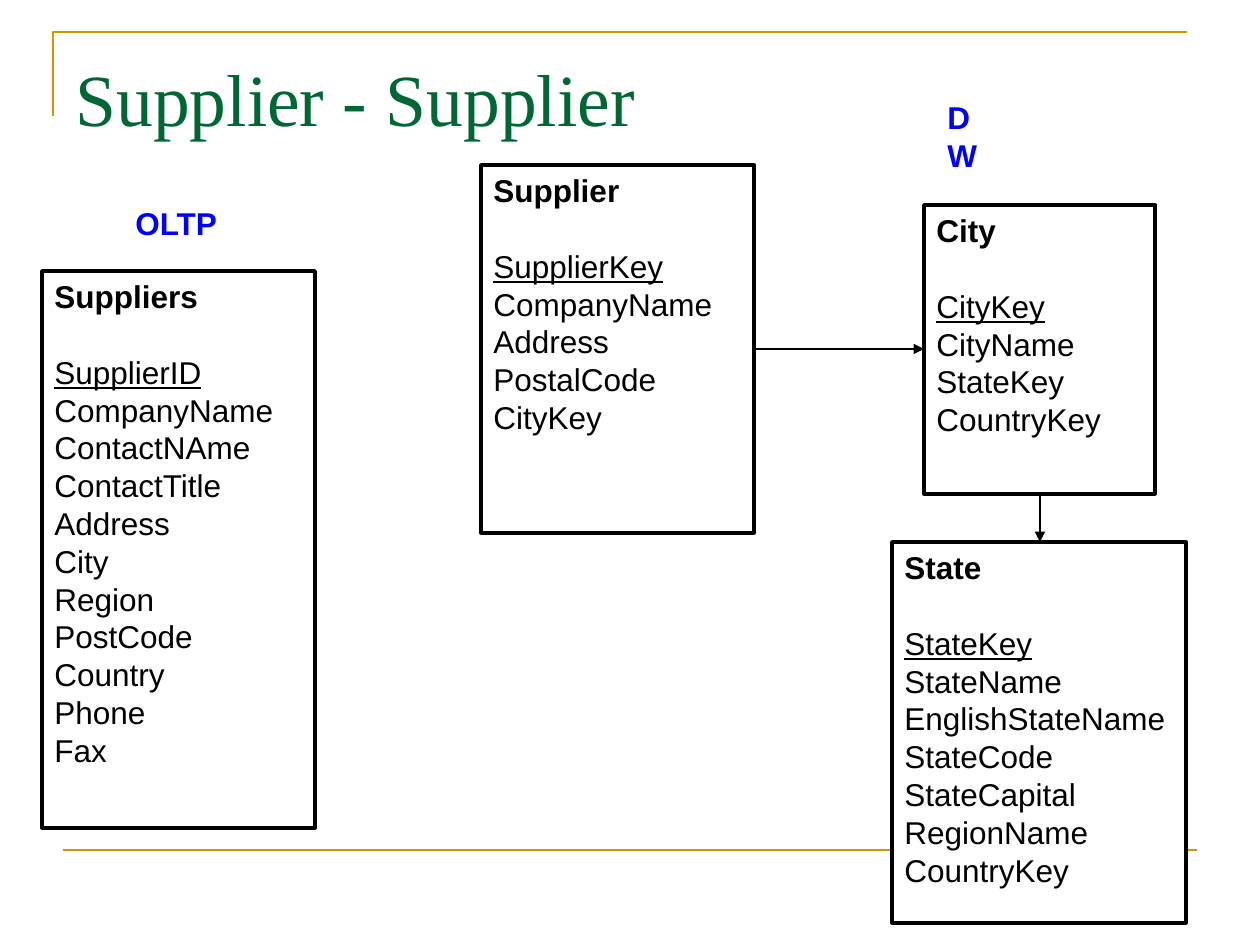
import pptx
import pptx.dml.color
import pptx.enum.shapes
import pptx.enum.text
import pptx.oxml.ns
import pptx.util
from lxml import etree

PX = 914400 // 126
WHITE = pptx.dml.color.RGBColor(0xFF, 0xFF, 0xFF)
BLACK = pptx.dml.color.RGBColor(0, 0, 0)
GOLD = pptx.dml.color.RGBColor(0xCC, 0x99, 0x00)
GREEN = pptx.dml.color.RGBColor(0x00, 0x66, 0x33)
BLUE = pptx.dml.color.RGBColor(0x00, 0x00, 0xFF)
LINE_HEIGHT = pptx.util.Pt(21.6)

# Title, box in px, key, other columns
TABLES = [
    ("Suppliers", (42, 271, 273, 557), "SupplierID",
     ["CompanyName", "ContactNAme", "ContactTitle", "Address", "City",
      "Region", "PostCode", "Country", "Phone", "Fax"]),
    ("Supplier", (481, 165, 273, 368), "SupplierKey",
     ["CompanyName", "Address", "PostalCode", "CityKey"]),
    ("City", (924, 205, 231, 289), "CityKey",
     ["CityName", "StateKey", "CountryKey"]),
    ("State", (892, 542, 294, 381), "StateKey",
     ["StateName", "EnglishStateName", "StateCode", "StateCapital",
      "RegionName", "CountryKey"]),
]


def emu(*lengths):
    return [n * PX for n in lengths]


def style(p, color, bold=False):
    p.alignment = pptx.enum.text.PP_ALIGN.LEFT
    p.line_spacing = LINE_HEIGHT
    p.font.name = "Arial"
    p.font.size = pptx.util.Pt(18)
    p.font.bold = bold
    p.font.color.rgb = color


def add_title(s, text):
    sp = s.shapes.title
    sp.left, sp.top, sp.width, sp.height = emu(63, 38, 1134, 157)
    tf = sp.text_frame
    tf.text = text
    tf.vertical_anchor = pptx.enum.text.MSO_ANCHOR.TOP
    tf.margin_top = 15 * PX
    p = tf.paragraphs[0]
    p.alignment = pptx.enum.text.PP_ALIGN.LEFT
    p.font.name = "Times New Roman"
    p.font.size = pptx.util.Pt(42)
    p.font.color.rgb = GREEN


def add_corner(s):
    """Draw the angled rule around the title's top left."""
    builder = s.shapes.build_freeform(*emu(53, 116))
    builder.add_line_segments([emu(53, 32), emu(1187, 32)], close=False)
    sp = builder.convert_to_shape()
    sp.shadow.inherit = False
    sp.fill.background()
    sp.line.color.rgb = GOLD
    sp.line.width = pptx.util.Pt(1.5)


def add_line(s, ends, color, width, arrow=False):
    sp = s.shapes.add_connector(
        pptx.enum.shapes.MSO_CONNECTOR.STRAIGHT, *emu(*ends))
    sp.line.color.rgb = color
    sp.line.width = pptx.util.Pt(width)
    if arrow:
        ln = sp.line._get_or_add_ln()
        etree.SubElement(ln, pptx.oxml.ns.qn("a:tailEnd"), type="triangle")
    etree.SubElement(sp._element.spPr, pptx.oxml.ns.qn("a:effectLst"))


def add_table_box(s, name, box, key, columns):
    """Draw a schema table: bold name, underlined key, then its columns."""
    sp = s.shapes.add_shape(
        pptx.enum.shapes.MSO_SHAPE.RECTANGLE, *emu(*box))
    sp.shadow.inherit = False
    sp.fill.solid()
    sp.fill.fore_color.rgb = WHITE
    sp.line.color.rgb = BLACK
    sp.line.width = pptx.util.Pt(2)
    tf = sp.text_frame
    tf.vertical_anchor = pptx.enum.text.MSO_ANCHOR.TOP
    tf.text = "\n".join([name, key, *columns])
    for i, p in enumerate(tf.paragraphs):
        style(p, BLACK, bold=i == 0)
    tf.paragraphs[0].space_after = LINE_HEIGHT
    tf.paragraphs[1].font.underline = True


def add_label(s, text, box):
    tf = s.shapes.add_textbox(*emu(*box)).text_frame
    tf.word_wrap = False
    tf.text = text
    style(tf.paragraphs[0], BLUE, bold=True)


def main():
    prs = pptx.Presentation()
    prs.slide_width, prs.slide_height = emu(1260, 945)
    s = prs.slides.add_slide(prs.slide_layouts[5])

    add_corner(s)
    add_line(s, (63, 850, 1197, 850), GOLD, 1.5)
    add_title(s, "Supplier - Supplier")
    for table in TABLES:
        add_table_box(s, *table)
    add_line(s, (754, 349, 924, 349), BLACK, 0.75, arrow=True)
    add_line(s, (1040, 494, 1040, 542), BLACK, 0.75, arrow=True)
    add_label(s, "OLTP", (123, 198, 108, 50))
    add_label(s, "DW", (935, 92, 77, 50))

    prs.save("out.pptx")


if __name__ == "__main__":
    main()
